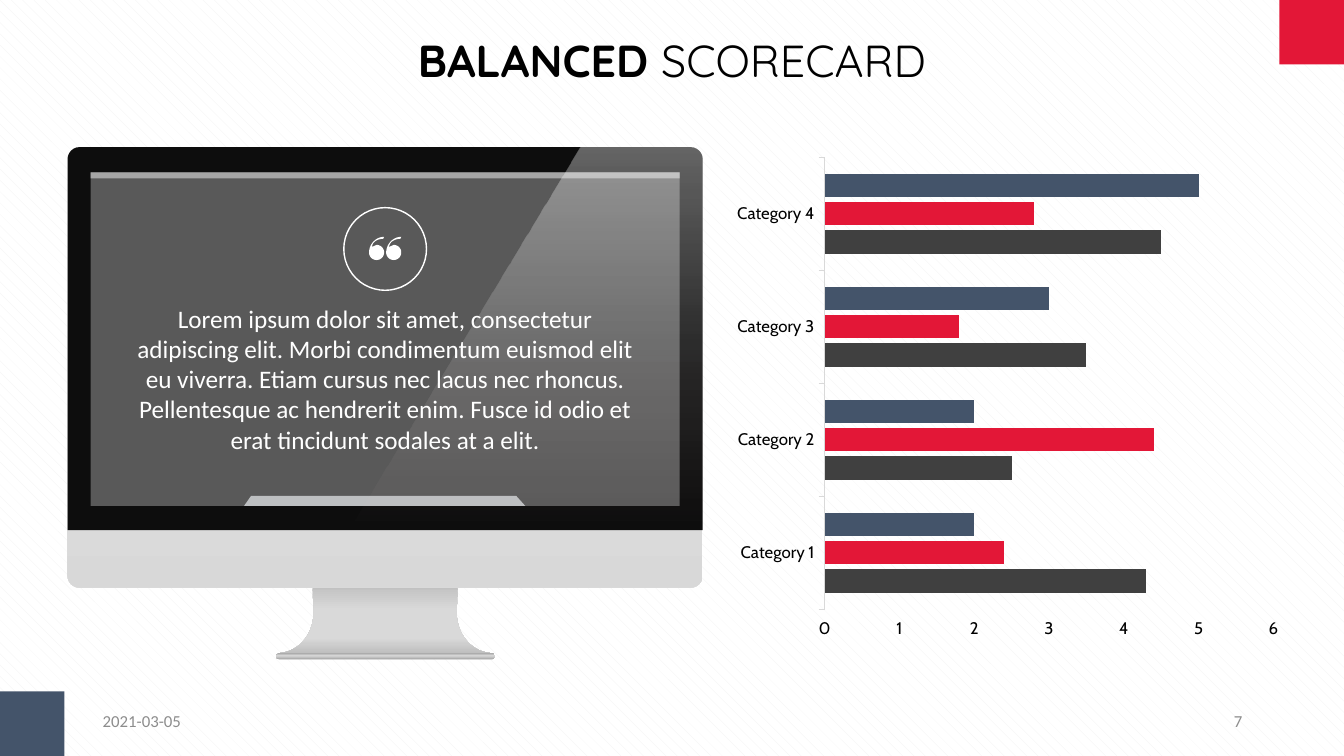
from math import cos, radians, sin
from lxml.etree import SubElement
from pptx import Presentation
from pptx.chart.data import CategoryChartData
from pptx.dml.color import RGBColor
from pptx.enum.chart import XL_CHART_TYPE, XL_TICK_MARK
from pptx.enum.dml import MSO_PATTERN
from pptx.enum.shapes import MSO_SHAPE
from pptx.enum.text import MSO_ANCHOR, PP_ALIGN
from pptx.oxml.ns import qn
from pptx.util import Inches, Pt

WIDE, HIGH = 13.33, 7.5
TITLE = [("BALANCED ", True), ("SCORECARD", False)]
QUOTE = [("Lorem ipsum dolor sit amet, consectetur adipiscing elit. Morbi "
          "condimentum euismod elit eu viverra. Etiam cursus nec lacus nec "
          "rhoncus. Pellentesque ac hendrerit enim. Fusce id odio et erat "
          "tincidunt sodales at a elit.", False)]
DATE, PAGE = [("2021-03-05", False)], [("7", False)]
CATS = [f"Category {n}" for n in range(1, 5)]
SERIES = [
    ("Series 1", "dark", (4.3, 2.5, 3.5, 4.5)),
    ("Series 2", "red", (2.4, 4.4, 1.8, 2.8)),
    ("Series 3", "navy", (2, 2, 3, 5)),
]
COLORS = {
    "white": "FFFFFF", "black": "000000", "red": "E31737", "navy": "44546A",
    "dark": "404040", "bezel": "0D0D0D", "screen": "595959", "bar": "A6A6A6",
    "tray": "BDBFC1", "rule": "D9D9D9", "note": "8C8C8C", "weave": "F2F2F2",
}
# Gradients run downwards: (percent, colour, opacity)
NECK = [(0, "BFBFBF", 100), (37, "D9D9D9", 100), (77, "D9D9D9", 100),
        (100, "BFBFBF", 100)]
FOOT = [(0, "A6A6A6", 100), (44, "D9D9D9", 100), (100, "A6A6A6", 100)]
SHELL = [(0, "F2F2F2", 100), (50, "E5E5E5", 100), (100, "D8D8D8", 100)]
GLARE = [(0, "FFFFFF", 36), (50, "FFFFFF", 13), (100, "FFDDDE", 0)]

LEFT, TOP, SPAN, ROUND = 0.67, 1.46, 6.3, 0.12
RIGHT, MID = LEFT + SPAN, LEFT + SPAN / 2
EDGE = 0.23
INNER = SPAN - 2 * EDGE
TAB = 0.64
FLAT = dict.fromkeys(
    ("margin_left", "margin_top", "margin_right", "margin_bottom"), 0)


def rgb(name):
    return RGBColor.from_string(COLORS[name])


def put(thing, **values):
    for key, value in values.items():
        setattr(thing, key, value)


def paint(shape, fill):
    """Fill with a colour name or a list of gradient stops; None is clear."""
    shape.shadow.inherit = False
    shape.line.fill.background()
    if fill is None:
        shape.fill.background()
    elif isinstance(fill, str):
        shape.fill.solid()
        shape.fill.fore_color.rgb = rgb(fill)
    else:
        shape.fill.gradient()
        shape.fill.gradient_angle = 270
        stops = next(shape._element.iter(qn("a:gsLst")))
        for old in list(stops):
            stops.remove(old)
        for pos, tone, alpha in fill:
            stop = SubElement(stops, qn("a:gs"), pos=str(pos * 1000))
            color = SubElement(stop, qn("a:srgbClr"), val=tone)
            if alpha < 100:
                SubElement(color, qn("a:alpha"), val=str(alpha * 1000))
    return shape


def block(home, kind, box, fill, *adjust):
    shape = home.add_shape(kind, *map(Inches, box))
    for spot, value in enumerate(adjust):
        shape.adjustments[spot] = value
    return paint(shape, fill)


def arc(x, y, wide, high, start, end, steps=16):
    """Points on an ellipse; angles in degrees, clockwise from the right."""
    turns = [radians(start + (end - start) * n / steps)
             for n in range(steps + 1)]
    return [(x + wide * cos(t), y + high * sin(t)) for t in turns]


def outline(home, points, fill):
    first, *rest = [(Inches(x), Inches(y)) for x, y in points]
    pen = home.build_freeform(*first, scale=1.0)
    pen.add_line_segments(rest, close=True)
    return paint(pen.convert_to_shape(), fill)


def write(home, box, runs, size, color, face="Calibri",
          align=PP_ALIGN.LEFT, pads=FLAT):
    frame = home.add_textbox(*map(Inches, box)).text_frame
    put(frame, word_wrap=True, vertical_anchor=MSO_ANCHOR.MIDDLE, **pads)
    para = frame.paragraphs[0]
    para.alignment = align
    for text, bold in runs:
        run = para.add_run()
        run.text = text
        put(run.font, size=Pt(size), name=face, bold=bold)
        run.font.color.rgb = rgb(color)


def monitor(home):
    half = [(3.1, 5.8)] + arc(2.75, 6.08, 0.36, 0.4, 0, 90)
    outline(home, half + [(2 * MID - x, y) for x, y in reversed(half)], NECK)
    block(home, MSO_SHAPE.ROUNDED_RECTANGLE, (2.74, 6.48, 2.17, 0.06),
          FOOT, 0.5)
    block(home, MSO_SHAPE.ROUNDED_RECTANGLE, (LEFT, TOP, SPAN, 4.37),
          SHELL, ROUND / 4.37)
    block(home, MSO_SHAPE.ROUND_2_SAME_RECTANGLE, (LEFT, TOP, SPAN, 3.8),
          "bezel", ROUND / 3.8, 0)
    for high, fill in ((3.31, "screen"), (0.06, "bar")):
        block(home, MSO_SHAPE.RECTANGLE,
              (LEFT + EDGE, 1.71, INNER, high), fill)
    outline(home, [(2.49, 4.92), (5.12, 4.92), (5.21, 5.02), (2.42, 5.02)],
            "tray")
    corner = arc(RIGHT - ROUND, TOP + ROUND, ROUND, ROUND, 270, 360)
    outline(home, [(5.76, TOP), *corner, (RIGHT, 5.19), (3.5, 5.19)], GLARE)


def marks(home):
    mark = (arc(0.15, 0.16, 0.15, 0.16, 270, 180)
            + arc(0.075, 0.155, 0.075, 0.075, 180, -90, 32)
            + arc(0.14, 0.1, 0.11, 0.08, 180, 270))
    for left in (3.66, 3.83):
        outline(home, [(left + x, 2.35 + y) for x, y in mark], "white")


def graph(home):
    data = CategoryChartData()
    data.categories = CATS
    for name, _, values in SERIES:
        data.add_series(name, values)
    chart = home.add_chart(XL_CHART_TYPE.BAR_CLUSTERED,
                           *map(Inches, (7.2, 1.46, 5.59, 4.98)), data).chart
    put(chart, has_legend=False, has_title=False)
    put(chart.font, size=Pt(10), name="Calibri")
    chart.font.color.rgb = rgb("black")
    plot = chart.plots[0]
    put(plot, gap_width=141, overlap=-20, vary_by_categories=False)
    for series, (_, color, _) in zip(plot.series, SERIES):
        series.format.fill.solid()
        series.format.fill.fore_color.rgb = rgb(color)
    for axis in (chart.category_axis, chart.value_axis):
        put(axis, has_major_gridlines=False,
            major_tick_mark=XL_TICK_MARK.OUTSIDE)
        put(axis.tick_labels.font, size=Pt(12), name="Cabin")
        axis.tick_labels.font.color.rgb = rgb("black")
    put(chart.value_axis, minimum_scale=0, maximum_scale=6, major_unit=1)
    chart.value_axis.format.line.fill.background()
    line = chart.category_axis.format.line
    line.width = Pt(0.75)
    line.color.rgb = rgb("rule")


def main():
    deck = Presentation()
    put(deck, slide_width=Inches(WIDE), slide_height=Inches(HIGH))
    slide = deck.slides.add_slide(deck.slide_layouts[6])
    back = slide.background.fill
    back.patterned()
    back.pattern = MSO_PATTERN.SHINGLE
    back.fore_color.rgb, back.back_color.rgb = rgb("weave"), rgb("white")

    home = slide.shapes
    monitor(home.add_group_shape().shapes)
    ring = block(home, MSO_SHAPE.OVAL, (3.41, 2.06, 0.82, 0.82), None)
    ring.line.color.rgb = rgb("white")
    ring.line.width = Pt(1)
    for left, top, fill in ((WIDE - TAB, 0, "red"), (0, HIGH - TAB, "navy")):
        block(home, MSO_SHAPE.RECTANGLE, (left, top, TAB, TAB), fill)
    write(home, (1.6, 0.32, 10.13, 0.54), TITLE, 32, "black", "Quicksand",
          PP_ALIGN.CENTER)
    write(home, (1.27, 3, 5.1, 1.51), QUOTE, 18, "white",
          align=PP_ALIGN.CENTER)
    marks(home.add_group_shape().shapes)
    graph(home)
    for left, runs, align in ((0.92, DATE, PP_ALIGN.LEFT),
                              (9.42, PAGE, PP_ALIGN.RIGHT)):
        write(home, (left, 6.95, 3, 0.4), runs, 12, "note", align=align,
              pads={})
    deck.save("out.pptx")


if __name__ == "__main__":
    main()
